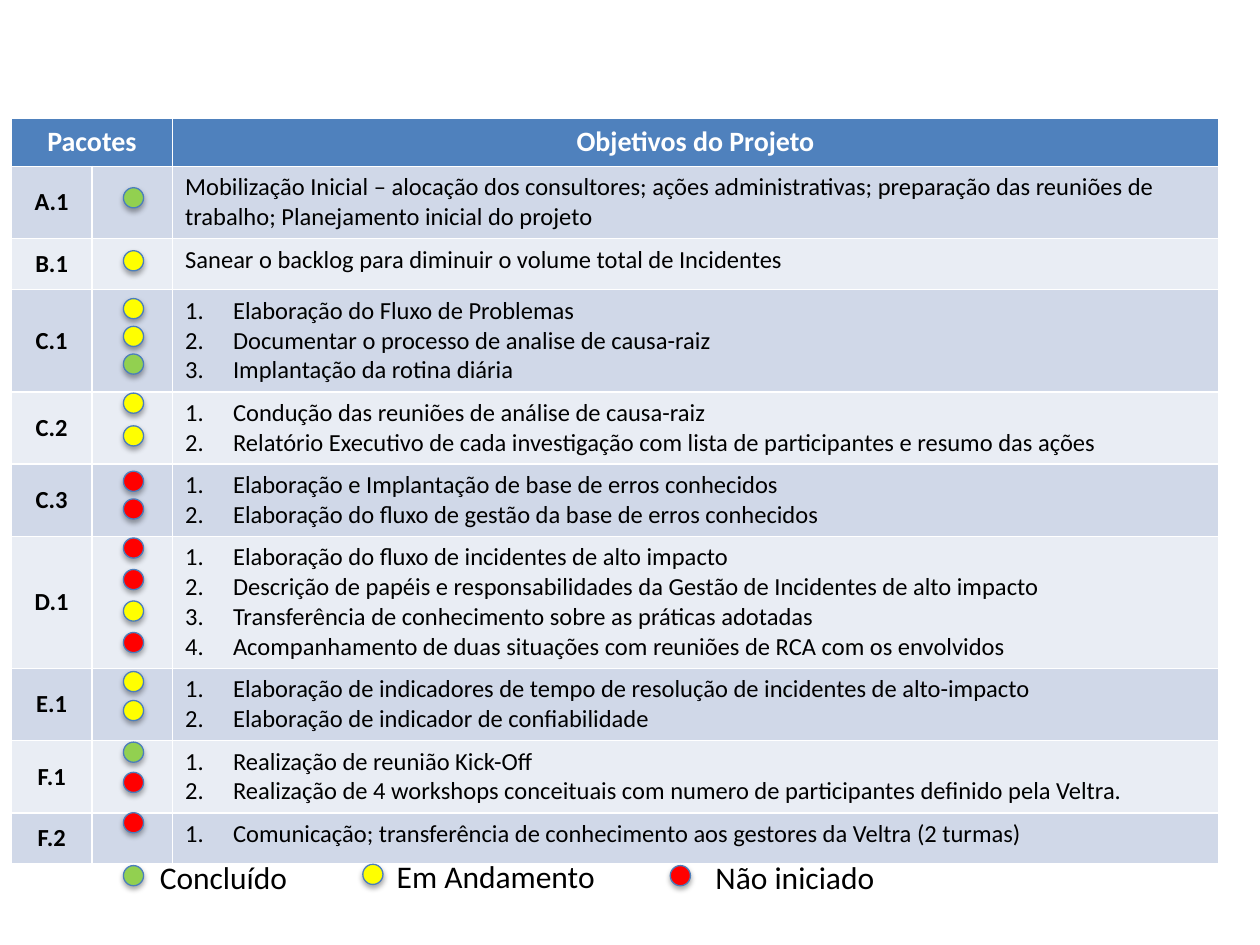
from collections import namedtuple

from lxml.etree import SubElement
from pptx import Presentation
from pptx.dml.color import RGBColor
from pptx.enum.shapes import MSO_SHAPE as Preset
from pptx.enum.text import MSO_ANCHOR as Anchor, PP_ALIGN as Align
from pptx.oxml.ns import qn
from pptx.util import Inches, Pt

FONT = "Calibri"
WHITE = RGBColor(0xFF, 0xFF, 0xFF)
BLACK = RGBColor(0, 0, 0)
HEADER_BLUE = RGBColor(0x4F, 0x81, 0xBD)
BAND_DARK = RGBColor(0xD0, 0xD8, 0xE8)
BAND_LIGHT = RGBColor(0xE9, 0xED, 0xF4)
DOT_OUTLINE = RGBColor(0x4B, 0x7E, 0xBC)
DONE = RGBColor(0x92, 0xD0, 0x50)
ONGOING = RGBColor(0xFF, 0xFF, 0x00)
NOT_STARTED = RGBColor(0xFF, 0x00, 0x00)

COLUMN_WIDTHS = (0.64, 0.64, 8.3)
HEADER_HEIGHT = 0.38
DOT_SIZE = 0.16
DOT_LEFT = 0.89

# dot_top is measured from the top of the table, dot_step between dots
Package = namedtuple("Package", "code height dot_top dot_step statuses objectives")
PACKAGES = [
    Package("A.1", 0.56, 0.55, 0, [DONE], [
        "Mobilização Inicial – alocação dos consultores; ações administrativas; "
        "preparação das reuniões de trabalho; Planejamento inicial do projeto"]),
    Package("B.1", 0.38, 1.05, 0, [ONGOING], [
        "Sanear o backlog para diminuir o volume total de Incidentes"]),
    Package("C.1", 0.78, 1.43, 0.22, [ONGOING, ONGOING, DONE], [
        "Elaboração do Fluxo de Problemas",
        "Documentar o processo de analise de causa-raiz",
        "Implantação da rotina diária"]),
    Package("C.2", 0.56, 2.18, 0.26, [ONGOING, ONGOING], [
        "Condução das reuniões de análise de causa-raiz",
        "Relatório Executivo de cada investigação com lista de participantes "
        "e resumo das ações"]),
    Package("C.3", 0.56, 2.8, 0.22, [NOT_STARTED, NOT_STARTED], [
        "Elaboração e Implantação de base de erros conhecidos",
        "Elaboração do fluxo de gestão da base de erros conhecidos"]),
    Package("D.1", 1.01, 3.33, 0.25, [NOT_STARTED, NOT_STARTED, ONGOING, NOT_STARTED], [
        "Elaboração do fluxo de incidentes de alto impacto",
        "Descrição de papéis e responsabilidades da Gestão de Incidentes de alto impacto",
        "Transferência de conhecimento sobre as práticas adotadas",
        "Acompanhamento de duas situações com reuniões de RCA com os envolvidos"]),
    Package("E.1", 0.56, 4.39, 0.23, [ONGOING, ONGOING], [
        "Elaboração de indicadores de tempo de resolução de incidentes de alto-impacto",
        "Elaboração de indicador de confiabilidade"]),
    Package("F.1", 0.56, 4.95, 0.24, [DONE, NOT_STARTED], [
        "Realização de reunião Kick-Off",
        "Realização de 4 workshops conceituais com numero de participantes "
        "definido pela Veltra."]),
    Package("F.2", 0.38, 5.51, 0, [NOT_STARTED], [
        "Comunicação; transferência de conhecimento aos gestores da Veltra (2 turmas)"]),
]
UNNUMBERED = ("A.1", "B.1")


def write(frame, lines, size=14, color=BLACK, bold=False, align=Align.LEFT, numbered=False):
    for index, line in enumerate(lines):
        paragraph = frame.add_paragraph() if index else frame.paragraphs[0]
        paragraph.alignment = align
        if numbered:
            properties = paragraph._p.get_or_add_pPr()
            properties.set("marL", str(Inches(0.38)))
            properties.set("indent", str(-Inches(0.38)))
            SubElement(properties, qn("a:buFont"), typeface="+mj-lt")
            SubElement(properties, qn("a:buAutoNum"), type="arabicPeriod")
        run = paragraph.add_run()
        run.text = line
        run.font.name = FONT
        run.font.size = Pt(size)
        run.font.bold = bold
        run.font.color.rgb = color


def add_status_dot(shapes, left, top, status):
    dot = shapes.add_shape(Preset.OVAL, Inches(left), Inches(top),
                           Inches(DOT_SIZE), Inches(DOT_SIZE))
    dot.fill.solid()
    dot.fill.fore_color.rgb = status
    dot.line.color.rgb = DOT_OUTLINE
    dot.line.width = Pt(0.75)
    dot.shadow.inherit = False
    effects = dot._element.spPr.find(qn("a:effectLst"))
    shadow = SubElement(effects, qn("a:outerShdw"), blurRad=str(Pt(3.1)),
                        dist=str(Pt(1.8)), dir="5400000", rotWithShape="0")
    shade = SubElement(shadow, qn("a:srgbClr"), val="000000")
    SubElement(shade, qn("a:alpha"), val="35000")


def fill_cells(cells, color):
    for cell in cells:
        cell.fill.solid()
        cell.fill.fore_color.rgb = color


def add_package_table(slide, left, top):
    heights = [HEADER_HEIGHT] + [package.height for package in PACKAGES]
    table = slide.shapes.add_table(
        len(heights), len(COLUMN_WIDTHS), Inches(left), Inches(top),
        Inches(sum(COLUMN_WIDTHS)), Inches(sum(heights))).table
    for column, width in zip(table.columns, COLUMN_WIDTHS):
        column.width = Inches(width)
    for row, height in zip(table.rows, heights):
        row.height = Inches(height)

    fill_cells(table.rows[0].cells, HEADER_BLUE)
    table.cell(0, 0).merge(table.cell(0, 1))
    for column, heading in ((0, "Pacotes"), (2, "Objetivos do Projeto")):
        write(table.cell(0, column).text_frame, [heading], size=16,
              color=WHITE, bold=True, align=Align.CENTER)

    for number, package in enumerate(PACKAGES, start=1):
        fill_cells(table.rows[number].cells, BAND_DARK if number % 2 else BAND_LIGHT)
        code_cell = table.cell(number, 0)
        code_cell.vertical_anchor = Anchor.MIDDLE
        write(code_cell.text_frame, [package.code], bold=True, align=Align.CENTER)
        write(table.cell(number, 2).text_frame, package.objectives,
              numbered=package.code not in UNNUMBERED)


def add_package_dots(slide, left, top):
    for package in PACKAGES:
        for index, status in enumerate(package.statuses):
            add_status_dot(slide.shapes, left + DOT_LEFT,
                           top + package.dot_top + index * package.dot_step, status)


def add_legend_item(slide, left, top, status, label, label_offset, label_width):
    group = slide.shapes.add_group_shape()
    add_status_dot(group.shapes, left, top, status)
    box = group.shapes.add_textbox(Inches(left + label_offset), Inches(top - 0.11),
                                   Inches(label_width), Inches(0.4))
    box.text_frame.word_wrap = True
    write(box.text_frame, [label], size=18)


def add_legend(slide, left, top):
    add_legend_item(slide, left + 4.34, top + 0.01, NOT_STARTED, "Não iniciado", 0.26, 1.58)
    add_legend_item(slide, left + 1.9, top, ONGOING, "Em Andamento", 0.17, 1.79)
    add_legend_item(slide, left, top + 0.01, DONE, "Concluído", 0.19, 1.23)


def main():
    presentation = Presentation()
    presentation.slide_width = Inches(10)
    presentation.slide_height = Inches(7.5)
    slide = presentation.slides.add_slide(presentation.slide_layouts[6])
    add_package_table(slide, 0.09, 0.94)
    add_package_dots(slide, 0.09, 0.94)
    add_legend(slide, 0.98, 6.86)
    presentation.save("out.pptx")


if __name__ == "__main__":
    main()
